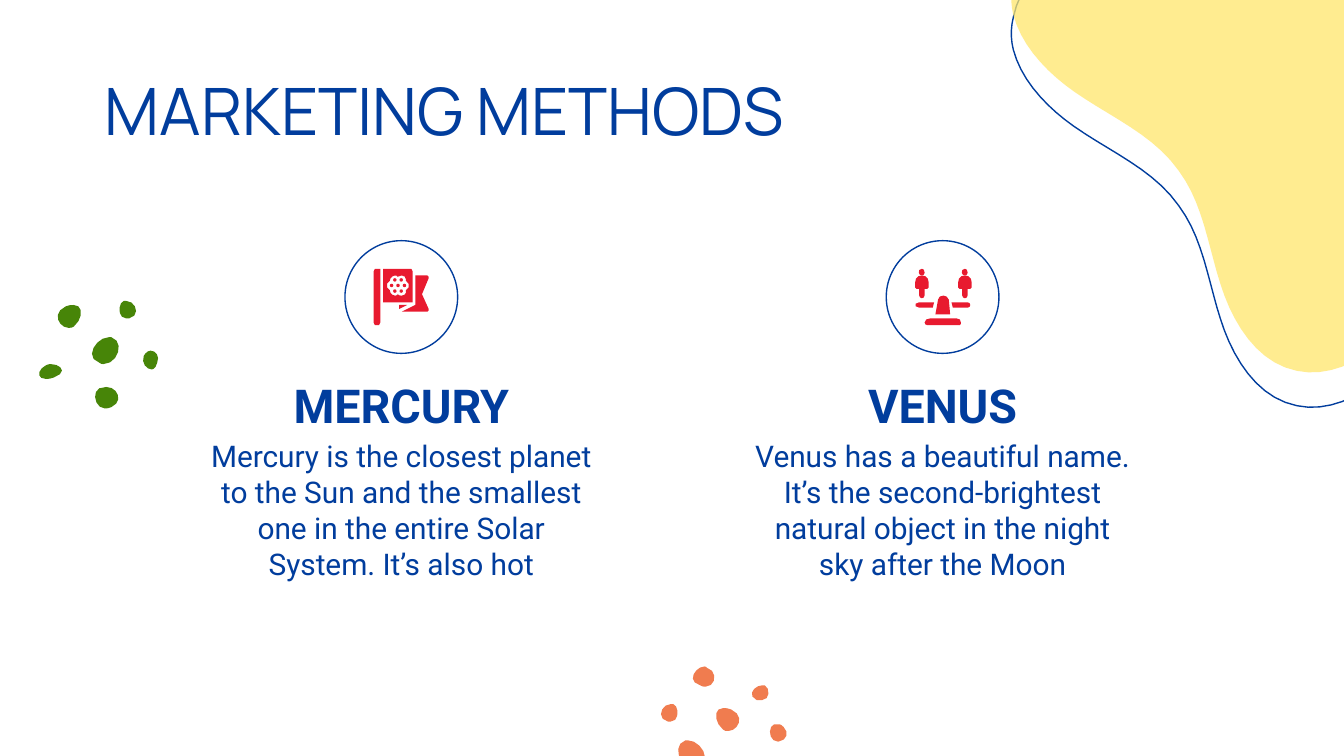
from math import cos, dist, pi, sin, sqrt

from lxml import etree
from pptx import Presentation
from pptx.dml.color import RGBColor
from pptx.enum.shapes import MSO_SHAPE
from pptx.enum.text import MSO_ANCHOR, MSO_AUTO_SIZE, PP_ALIGN
from pptx.oxml.ns import qn
from pptx.util import Cm, Pt

OVAL = MSO_SHAPE.OVAL
TOP, MIDDLE, BOTTOM = MSO_ANCHOR.TOP, MSO_ANCHOR.MIDDLE, MSO_ANCHOR.BOTTOM
LEFT, CENTER = PP_ALIGN.LEFT, PP_ALIGN.CENTER
NO_AUTOFIT = MSO_AUTO_SIZE.NONE

NAVY, RED, YELLOW, GREEN, ORANGE = "013D9D", "E81A2F", "FFE66A", "478508", "F07C4F"
PATH_UNIT = Cm(0.0254)
PATH_SIZES = {"M": 2, "L": 2, "C": 6}
COLUMN_WIDTH = 7.75
BADGE_SIZE = 2.13

COLUMNS = [
    (3.71, "MERCURY", "Mercury is the closest planet to the Sun and the smallest one "
                      "in the entire Solar System. It’s also hot"),
    (13.94, "VENUS", "Venus has a beautiful name. It’s the second-brightest natural "
                     "object in the night sky after the Moon"),
]

BLOB = """M 1189 -51 C 1186 -65 1180 -77 1172 -88 1161 -102 1146 -115 1137 -131
1133 -139 1130 -146 1128 -154 1128 -156 1127 -159 1127 -162 1125 -173 1124 -185 1123 -197
1123 -204 1122 -211 1120 -219 1116 -237 1107 -253 1087 -254 1057 -255 1032 -237 1011 -218
998 -207 981 -193 962 -191 942 -190 921 -201 902 -206 880 -211 855 -213 838 -200
819 -186 811 -155 808 -133 806 -107 805 -81 794 -57 782 -33 759 -13 754 13
752 21 752 29 754 37 760 60 779 80 799 94 826 113 858 126 877 153
895 177 899 209 908 237 917 266 935 296 965 302 993 308 1023 290 1041 267
1065 234 1100 211 1142 212 1159 212 1176 215 1192 209 1210 202 1222 184 1224 165
1225 155 1224 146 1222 137 1219 128 1215 118 1211 109 1202 91 1191 72 1186 52
1185 48 1184 43 1184 39 1182 16 1194 -5 1193 -29 1192 -36 1191 -44 1189 -51"""

SHARED_DOTS = [
    "M 55 227 C 53 227 51 227 49 228 38 233 44 244 51 244 53 244 54 244 55 243 62 237 62 227 55 227",
    "M 94 224 C 94 224 93 224 92 224 88 225 87 237 94 237 95 237 96 237 96 237 105 235 101 224 94 224",
    "M 81 251 C 72 251 62 266 74 270 75 271 76 271 77 271 88 271 93 254 83 251 82 251 82 251 81 251",
]
GREEN_DOTS = [
    "M 79 288 C 78 288 76 289 74 289 68 292 71 304 78 304 80 304 81 304 83 303 92 299 88 288 79 288",
    "M 112 261 C 110 261 108 263 107 265 105 270 109 275 113 275 114 275 116 274 117 270 119 265 116 261 112 261",
    "M 38 271 C 37 271 35 271 34 272 28 275 27 282 34 282 36 282 38 282 40 281 51 277 45 271 38 271",
]
ORANGE_DOTS = [
    "M 578 539 C 580 539 582 539 583 541 587 545 586 551 579 552 572 552 571 541 576 539 576 539 577 539 578 539",
    "M 567 510 C 568 510 569 510 569 510 573 512 573 521 567 521 566 521 565 521 563 521 555 517 562 510 567 510",
    "M 524 496 C 525 496 525 496 526 497 534 499 533 511 525 511 523 511 522 511 521 510 510 507 518 496 524 496",
]

PERSON = [
    "M 686 200 C 685 200 685 201 684 201 683 203 684 205 686 205 687 205 688 204 688 203 688 201 687 200 686 200",
    """M 686 205 C 683 205 681 207 681 210 L 681 214 682 215 684 215 684 220
    C 684 221 685 222 686 222 687 222 688 221 688 220 L 688 215 690 215 691 214 691 210
    C 691 207 689 205 686 205""",
]
PERSON_SPACING = 32
SEESAW = [
    "M 702 220 C 700 220 698 221 698 223 L 696 234 707 234 706 223 C 705 221 704 220 702 220",
    """M 692 237 C 690 237 688 238 688 240 688 241 689 242 690 242 L 714 242
    C 715 242 715 241 715 240 715 238 714 237 712 237""",
    "M 684 225 C 680 225 680 229 684 229 L 694 229 695 225",
    "M 708 225 L 709 229 720 229 C 721 229 722 228 722 227 722 226 721 225 720 225",
]

FLAG = [
    "M 297 227 L 297 230 303 227",
    "M 279 200 L 278 202 278 240 279 242 282 242 283 240 283 200",
    "M 318 205 L 309 205 309 226 309 227 299 232 318 232 319 231 319 230 314 219 319 207 319 206",
    """M 294 205 C 295 205 295 205 296 206 296 206 298 205 299 205 302 205 302 208 302 209
    305 210 305 215 302 216 303 218 301 220 299 220 298 220 296 220 296 219
    295 220 295 220 294 220 292 220 290 218 290 216 287 215 287 210 290 209 290 207 292 205 294 205
    M 285 200 L 285 225 307 225 307 202 306 200""",
]
FLOWER_CENTER = (296.2, 212.5)
PETAL_DISTANCE = 4.8
PETAL_RADIUS = 1.3


def rgb(value):
    """Turn a hex string into a colour."""
    return RGBColor.from_string(value)


def ring(center, radius, count):
    """Return evenly spaced points on a circle."""
    x, y = center
    angles = [2 * pi * step / count for step in range(count)]
    return [(x + radius * cos(angle), y + radius * sin(angle)) for angle in angles]


def curve(*controls):
    """Return points along a cubic curve, more for a longer one, without its first point."""
    length = sum(dist(a, b) for a, b in zip(controls, controls[1:]))
    steps = max(1, round(sqrt(length)))
    points = []
    for step in range(1, steps + 1):
        t = step / steps
        weights = ((1 - t) ** 3, 3 * t * (1 - t) ** 2, 3 * t * t * (1 - t), t ** 3)
        points.append(tuple(sum(w * c[axis] for w, c in zip(weights, controls)) for axis in (0, 1)))
    return points


def trace(path):
    """Turn a path string into a list of contours."""
    contours, command, numbers = [], "", []
    for token in path.split():
        if token in PATH_SIZES:
            command = token
            continue
        numbers.append(float(token))
        if len(numbers) < PATH_SIZES[command]:
            continue
        points = list(zip(numbers[::2], numbers[1::2]))
        numbers = []
        if command == "M":
            contours.append(points)
        elif command == "L":
            contours[-1] += points
        else:
            contours[-1] += curve(contours[-1][-1], *points)
    return contours


def style(shape, fill=None, line=None):
    """Give a shape its fill and line colours, and no shadow."""
    shape.shadow.inherit = False
    if fill:
        shape.fill.solid()
        shape.fill.fore_color.rgb = rgb(fill)
    else:
        shape.fill.background()
    if line:
        shape.line.color.rgb = rgb(line)
        shape.line.width = Pt(0.75)
    else:
        shape.line.fill.background()


def add_outline(shapes, contours, fill=None, line=None, dx=0, dy=0, flip=1):
    """Draw closed contours, moved and optionally mirrored."""
    placed = [[((flip * x + dx) * PATH_UNIT, (y + dy) * PATH_UNIT) for x, y in contour]
              for contour in contours]
    builder = shapes.build_freeform(*placed[0][0])
    for index, contour in enumerate(placed):
        if index:
            builder.move_to(*contour[0])
        builder.add_line_segments(contour[1:], close=True)
    outline = builder.convert_to_shape()
    style(outline, fill, line)
    return outline


def add_outlines(shapes, paths, fill, **placement):
    """Draw several filled paths with one placement."""
    for path in paths:
        add_outline(shapes, trace(path), fill, **placement)


def add_blobs(slide):
    """Draw the corner blob and its outline."""
    shapes = slide.shapes.add_group_shape().shapes
    add_outline(shapes, trace(BLOB), line=NAVY)
    blob = add_outline(shapes, trace(BLOB), YELLOW, dy=-26)
    color = blob.element.spPr.find(".//" + qn("a:srgbClr"))
    etree.SubElement(color, qn("a:alpha"), val="74000")


def add_dots(slide, own_dots, color, **placement):
    """Draw a cluster of shared and own dots."""
    shapes = slide.shapes.add_group_shape().shapes
    add_outlines(shapes, SHARED_DOTS, color, **placement)
    add_outlines(shapes, own_dots, color)


def add_seesaw_icon(slide):
    """Draw two people on a seesaw."""
    shapes = slide.shapes.add_group_shape().shapes
    for dx in (0, PERSON_SPACING):
        add_outlines(shapes, PERSON, RED, dx=dx)
    add_outlines(shapes, SEESAW, RED)


def add_flag_icon(slide):
    """Draw a flag with a flower of seven dots."""
    shapes = slide.shapes.add_group_shape().shapes
    add_outlines(shapes, FLAG, RED)
    for center in [FLOWER_CENTER, *ring(FLOWER_CENTER, PETAL_DISTANCE, 6)]:
        add_outline(shapes, [ring(center, PETAL_RADIUS, 8)], RED)


def write(box, text, font, size, anchor, align=CENTER, bold=False):
    """Put one formatted paragraph in a text shape."""
    frame = box.text_frame
    frame.word_wrap = True
    frame.auto_size = NO_AUTOFIT
    frame.vertical_anchor = anchor
    frame.margin_left = frame.margin_right = frame.margin_top = frame.margin_bottom = Cm(0.25)
    paragraph = frame.paragraphs[0]
    paragraph.text = text
    paragraph.alignment = align
    paragraph.font.name = font
    paragraph.font.size = Pt(size)
    paragraph.font.bold = bold
    paragraph.font.color.rgb = rgb(NAVY)


def add_title(slide, text):
    """Place and format the slide title."""
    title = slide.shapes.title
    title.left, title.top, title.width, title.height = Cm(1.73), Cm(1.45), Cm(21.95), Cm(1.6)
    write(title, text, "Manrope", 35, BOTTOM, LEFT)


def add_column(slide, left, heading, body):
    """Add a badge circle, heading and body text."""
    badge_left = left + (COLUMN_WIDTH - BADGE_SIZE) / 2
    badge = slide.shapes.add_shape(OVAL, Cm(badge_left), Cm(4.55), Cm(BADGE_SIZE), Cm(BADGE_SIZE))
    style(badge, line=NAVY)
    heading_box = slide.shapes.add_textbox(Cm(left), Cm(7.16), Cm(COLUMN_WIDTH), Cm(0.99))
    write(heading_box, heading, "Roboto", 25, MIDDLE, bold=True)
    body_box = slide.shapes.add_textbox(Cm(left), Cm(8.03), Cm(COLUMN_WIDTH), Cm(3.25))
    write(body_box, body, "Roboto", 16, TOP)


def main():
    """Build and save the slide."""
    deck = Presentation()
    deck.slide_width, deck.slide_height = Cm(25.4), Cm(14.29)
    slide = deck.slides.add_slide(deck.slide_layouts[5])
    add_blobs(slide)
    add_dots(slide, ORANGE_DOTS, ORANGE, dx=593, dy=300, flip=-1)
    add_title(slide, "MARKETING METHODS")
    for column in COLUMNS:
        add_column(slide, *column)
    add_seesaw_icon(slide)
    add_flag_icon(slide)
    add_dots(slide, GREEN_DOTS, GREEN)
    deck.save("out.pptx")


if __name__ == "__main__":
    main()
